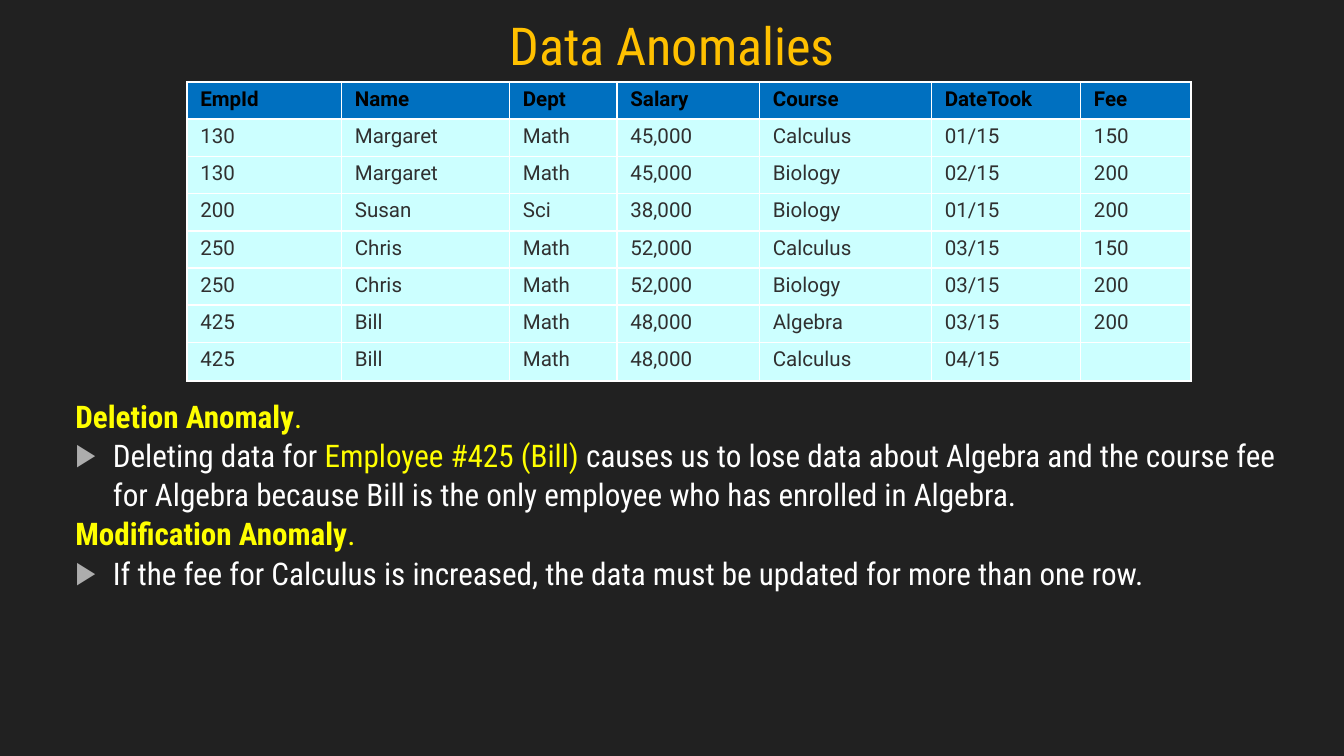
from lxml import etree
from pptx import Presentation
from pptx.dml.color import RGBColor
from pptx.enum.text import MSO_ANCHOR, MSO_AUTO_SIZE, PP_ALIGN
from pptx.oxml.ns import qn
from pptx.util import Inches, Pt

TOP, NO_FIT = MSO_ANCHOR.TOP, MSO_AUTO_SIZE.NONE
LEFT, CENTER = PP_ALIGN.LEFT, PP_ALIGN.CENTER

COLORS = {
    "background": "212121", "title": "FFC000", "highlight": "FFFF00",
    "text": "FFFFFF", "bullet": "ADADAD", "header": "0070C0",
    "header_text": "000000", "row": "CCFFFF", "row_text": "303030",
    "border": "FFFFFF",
}
HEADING_FONT, TABLE_FONT = "Roboto Condensed", "Roboto"
TABLE_SIZE = 11
SLIDE_WIDTH = 10

TITLE = "Data Anomalies"
ROWS = [
    ("EmpId", "Name", "Dept", "Salary", "Course", "DateTook", "Fee"),
    ("130", "Margaret", "Math", "45,000", "Calculus", "01/15", "150"),
    ("130", "Margaret", "Math", "45,000", "Biology", "02/15", "200"),
    ("200", "Susan", "Sci", "38,000", "Biology", "01/15", "200"),
    ("250", "Chris", "Math", "52,000", "Calculus", "03/15", "150"),
    ("250", "Chris", "Math", "52,000", "Biology", "03/15", "200"),
    ("425", "Bill", "Math", "48,000", "Algebra", "03/15", "200"),
    ("425", "Bill", "Math", "48,000", "Calculus", "04/15", ""),
]
COL_WIDTHS = [1.15, 1.25, 0.8, 1.06, 1.28, 1.11, 0.82]
TABLE_HEIGHT, LAST_ROW_HEIGHT = 2.23, 0.29
ANOMALIES = [
    ("Deletion Anomaly", [
        ("Deleting data for", "text"),
        (" Employee #425 (Bill)", "highlight"),
        (" causes us to lose data about Algebra and the course fee for Algebra "
         "because Bill is the only employee who has enrolled in Algebra.", "text"),
    ]),
    ("Modification Anomaly", [
        ("If the fee for Calculus is increased, the data must be updated "
         "for more than one row.", "text"),
    ]),
]


def add_text(p, text, color, size=16.7, font=HEADING_FONT, bold=False):
    r = p.add_run()
    r.text = text
    r.font.size, r.font.name, r.font.bold = Pt(size), font, bold
    r.font.color.rgb = RGBColor.from_string(COLORS[color])


def place(sp, left, top, width, height):
    sp.left, sp.top, sp.width, sp.height = map(Inches, (left, top, width, height))
    tf = sp.text_frame
    tf.margin_left = tf.margin_right = tf.margin_top = tf.margin_bottom = Inches(0.1)
    tf.vertical_anchor, tf.auto_size, tf.word_wrap = TOP, NO_FIT, True
    return tf


def set_bullet(p, left, indent, bullet=None):
    pPr = p._p.get_or_add_pPr()
    pPr.set("marL", str(Inches(left)))
    pPr.set("indent", str(Inches(indent)))
    if bullet:
        clr = etree.SubElement(pPr, qn("a:buClr"))
        etree.SubElement(clr, qn("a:srgbClr"), val=COLORS["bullet"])
        etree.SubElement(pPr, qn("a:buChar"), char=bullet)
    else:
        etree.SubElement(pPr, qn("a:buNone"))


def add_body_paragraph(tf, runs, left, indent, bullet=None):
    p = tf.add_paragraph() if tf.paragraphs[0].runs else tf.paragraphs[0]
    p.alignment, p.line_spacing = LEFT, 1.05
    p.space_before = p.space_after = Pt(0)
    set_bullet(p, left, indent, bullet)
    for text, color, bold in runs:
        add_text(p, text, color, bold=bold)


def format_cell(cell, text, is_header):
    cell.margin_left = cell.margin_right = Inches(0.1)
    cell.margin_top = cell.margin_bottom = Inches(0.04)
    p = cell.text_frame.paragraphs[0]
    if text:
        add_text(p, text, "header_text" if is_header else "row_text",
                 size=TABLE_SIZE, font=TABLE_FONT, bold=is_header)
    else:
        etree.SubElement(p._p, qn("a:endParaRPr"), sz=str(TABLE_SIZE * 100))
    tcPr = cell._tc.get_or_add_tcPr()
    for side in ("a:lnL", "a:lnR", "a:lnT", "a:lnB"):
        ln = etree.SubElement(tcPr, qn(side), w=str(Pt(1)))
        fill = etree.SubElement(ln, qn("a:solidFill"))
        etree.SubElement(fill, qn("a:srgbClr"), val=COLORS["border"])
    cell.fill.solid()
    cell.fill.fore_color.rgb = RGBColor.from_string(
        COLORS["header" if is_header else "row"])


def main():
    prs = Presentation()
    prs.slide_width = Inches(SLIDE_WIDTH)
    prs.slide_height = Inches(SLIDE_WIDTH * 9 / 16)
    s = prs.slides.add_slide(prs.slide_layouts[1])
    s.background.fill.solid()
    s.background.fill.fore_color.rgb = RGBColor.from_string(COLORS["background"])

    tf = place(s.shapes.title, 0.34, 0, 9.32, 0.63)
    tf.paragraphs[0].alignment = CENTER
    add_text(tf.paragraphs[0], TITLE, "title", size=28)

    tf = place(s.placeholders[1], 0.34, 2.84, 9.32, 2.38)
    for heading, parts in ANOMALIES:
        add_body_paragraph(
            tf, [(heading, "highlight", True), (".", "highlight", False)], 0.12, 0)
        add_body_paragraph(
            tf, [(text, color, False) for text, color in parts], 0.4, -0.28, "▶")

    table = s.shapes.add_table(
        len(ROWS), len(COL_WIDTHS), Inches(1.39), Inches(0.61),
        Inches(sum(COL_WIDTHS)), Inches(TABLE_HEIGHT)).table
    for column, width in zip(table.columns, COL_WIDTHS):
        column.width = Inches(width)
    row_height = (TABLE_HEIGHT - LAST_ROW_HEIGHT) / (len(ROWS) - 1)
    for i, row in enumerate(ROWS):
        is_last = i == len(ROWS) - 1
        table.rows[i].height = Inches(LAST_ROW_HEIGHT if is_last else row_height)
        for j, text in enumerate(row):
            format_cell(table.cell(i, j), text, i == 0)

    prs.save("out.pptx")


if __name__ == "__main__":
    main()
